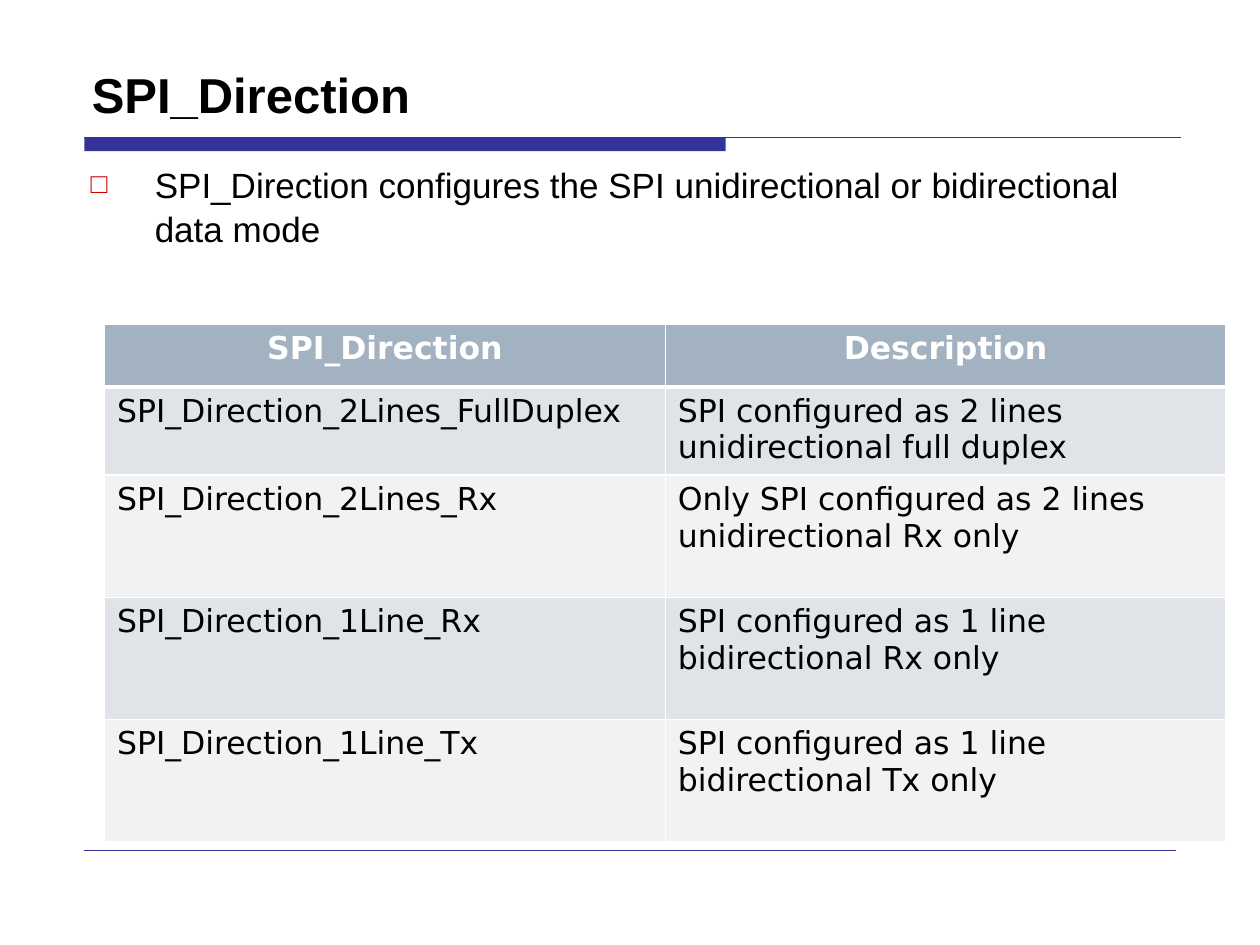
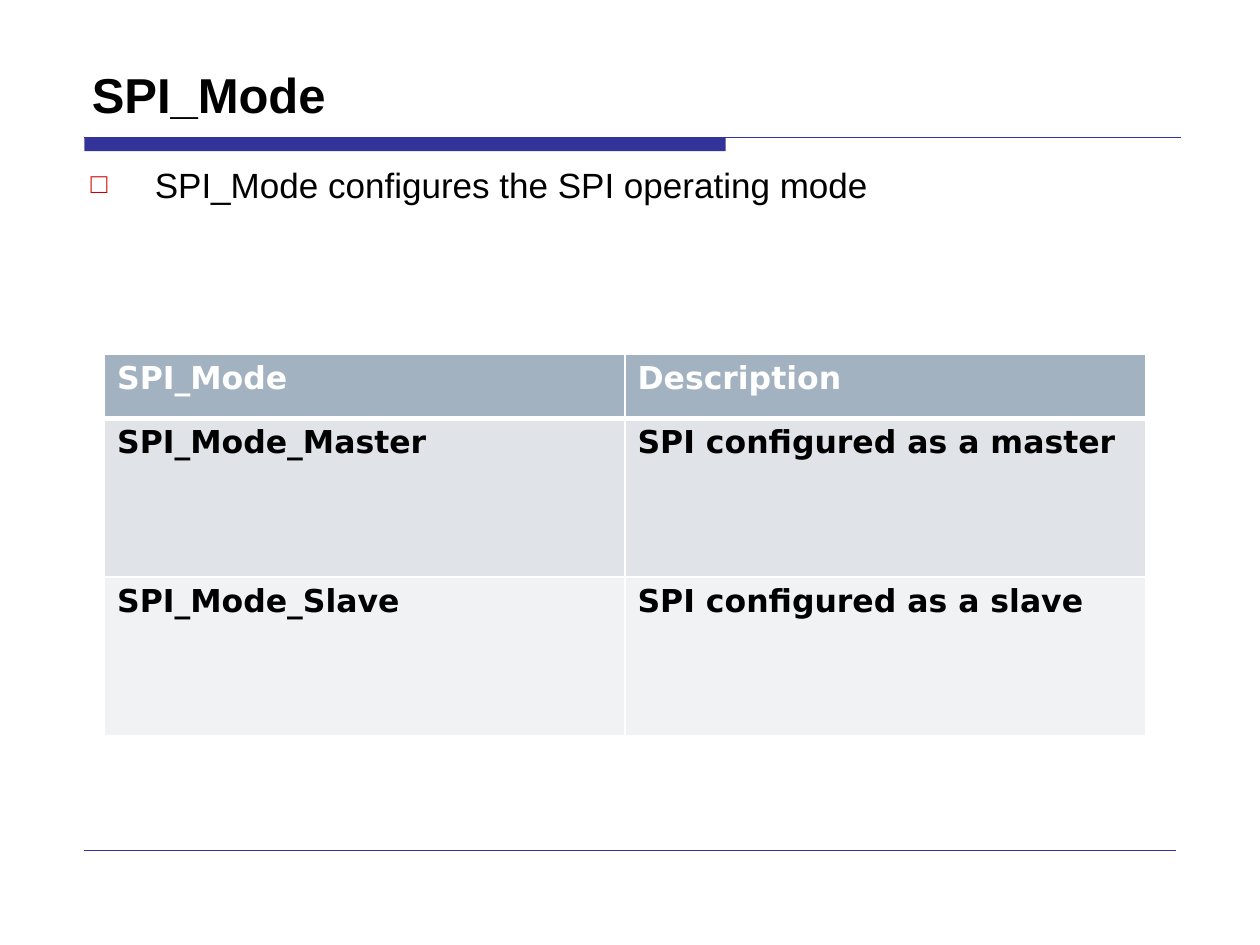
import pptx
import pptx.dml.color
import pptx.enum.shapes
import pptx.enum.text
import pptx.oxml
import pptx.oxml.ns
import pptx.util
from pptx.util import Inches

COLORS = {
    "accent": "333399",
    "bullet": "CC0000",
    "text": "000000",
    "white": "FFFFFF",
    "header": "A3B2C1",
    "odd": "E0E4E9",
    "even": "F0F2F4",
}
HEAD_FONT = "Arial"
TABLE_FONT = "DejaVu Sans"
ALIGN = pptx.enum.text.PP_ALIGN
ANCHOR = pptx.enum.text.MSO_ANCHOR
NS = pptx.oxml.ns.nsdecls("a")


def rgb(name):
    return pptx.dml.color.RGBColor.from_string(COLORS[name])


def write(tf, text, font=HEAD_FONT, size=20, color="text", bold=False,
          align=ALIGN.LEFT):
    """Put formatted text in the first paragraph and return it."""
    p = tf.paragraphs[0]
    p.alignment = align
    r = p.add_run()
    r.text = text
    r.font.name = font
    r.font.size = pptx.util.Pt(size)
    r.font.bold = bold
    r.font.color.rgb = rgb(color)
    return p


def add_textbox(slide, left, top, width, height, anchor):
    sp = slide.shapes.add_textbox(Inches(left), Inches(top),
                                  Inches(width), Inches(height))
    tf = sp.text_frame
    tf.word_wrap = True
    tf.vertical_anchor = anchor
    return tf


def add_rule(slide, left, right, y, weight):
    line = slide.shapes.add_connector(
        pptx.enum.shapes.MSO_CONNECTOR.STRAIGHT,
        Inches(left), Inches(y), Inches(right), Inches(y))
    line.line.color.rgb = rgb("accent")
    line.line.width = pptx.util.Pt(weight)
    line._element.spPr.append(pptx.oxml.parse_xml(f"<a:effectLst {NS}/>"))


def add_frame(slide):
    """Title band and footer rule shared by all slides."""
    band = slide.shapes.add_shape(
        pptx.enum.shapes.MSO_SHAPE.RECTANGLE,
        Inches(0.67), Inches(1.09), Inches(5.09), Inches(0.11))
    band.shadow.inherit = False
    band.fill.solid()
    band.fill.fore_color.rgb = rgb("accent")
    band.line.fill.background()
    add_rule(slide, 0.67, 9.37, 1.09, 0.75)
    add_rule(slide, 0.67, 9.33, 6.75, 0.25)


def add_title(slide, text):
    tf = add_textbox(slide, 0.63, 0.28, 8.75, 0.75, ANCHOR.BOTTOM)
    write(tf, text, size=28, bold=True)


def add_bullet(slide, text):
    tf = add_textbox(slide, 0.62, 1.23, 8.75, 1, ANCHOR.TOP)
    p = write(tf, text)
    p.line_spacing = 1.05
    pPr = p._p.get_or_add_pPr()
    indent = Inches(0.51)
    pPr.set("marL", str(indent))
    pPr.set("indent", str(-indent))
    for tag in (f'<a:buClr {NS}><a:srgbClr val="{COLORS["bullet"]}"/></a:buClr>',
                f'<a:buSzPct {NS} val="80000"/>',
                f'<a:buFont {NS} typeface="{HEAD_FONT}"/>',
                f'<a:buChar {NS} char="□"/>'):
        pPr.append(pptx.oxml.parse_xml(tag))


def set_borders(cell, top, bottom):
    """White cell borders; they precede the fill in the cell properties."""
    tcPr = cell._tc.get_or_add_tcPr()
    for i, (side, weight) in enumerate(
            (("L", 1), ("R", 1), ("T", top), ("B", bottom))):
        tcPr.insert(i, pptx.oxml.parse_xml(
            f'<a:ln{side} {NS} w="{pptx.util.Pt(weight)}"><a:solidFill>'
            f'<a:srgbClr val="{COLORS["white"]}"/></a:solidFill></a:ln{side}>'))


def add_table(slide, rows, top, col_width, row_heights,
              header_align=ALIGN.LEFT, body_bold=False):
    columns = len(rows[0])
    table = slide.shapes.add_table(
        len(rows), columns, Inches(0.83), Inches(top),
        Inches(col_width * columns), Inches(sum(row_heights))).table
    for column in table.columns:
        column.width = Inches(col_width)
    for i, (texts, height) in enumerate(zip(rows, row_heights)):
        table.rows[i].height = Inches(height)
        header = i == 0
        fill = "header" if header else "odd" if i % 2 else "even"
        for j, text in enumerate(texts):
            cell = table.cell(i, j)
            cell.fill.solid()
            cell.fill.fore_color.rgb = rgb(fill)
            set_borders(cell, top=3 if i == 1 else 1, bottom=3 if header else 1)
            write(cell.text_frame, text, font=TABLE_FONT, size=18,
                  color="white" if header else "text",
                  bold=header or body_bold,
                  align=header_align if header else ALIGN.LEFT)


def add_slide(prs, title, summary):
    slide = prs.slides.add_slide(prs.slide_layouts[6])
    add_frame(slide)
    add_title(slide, title)
    add_bullet(slide, summary)
    return slide


def main():
    prs = pptx.Presentation()
    prs.slide_width = Inches(10)
    prs.slide_height = Inches(7.5)

    # Data direction
    slide = add_slide(
        prs, "SPI_Direction",
        "SPI_Direction configures the SPI unidirectional or bidirectional data mode")
    directions = [
        ("SPI_Direction", "Description"),
        ("SPI_Direction_2Lines_FullDuplex",
         "SPI configured as 2 lines unidirectional full duplex"),
        ("SPI_Direction_2Lines_Rx",
         "Only SPI configured as 2 lines unidirectional Rx only"),
        ("SPI_Direction_1Line_Rx", "SPI configured as 1 line bidirectional Rx only"),
        ("SPI_Direction_1Line_Tx", "SPI configured as 1 line bidirectional Tx only"),
    ]
    add_table(slide, directions, 2.57, 4.45, [0.5, 0.68] + [0.97] * 3,
              header_align=ALIGN.CENTER)

    # Operating mode
    slide = add_slide(prs, "SPI_Mode", "SPI_Mode configures the SPI operating mode")
    modes = [
        ("SPI_Mode", "Description"),
        ("SPI_Mode_Master", "SPI configured as a master"),
        ("SPI_Mode_Slave", "SPI configured as a slave"),
    ]
    add_table(slide, modes, 2.81, 4.13, [0.51] + [1.26] * 2, body_bold=True)

    prs.save("out.pptx")


if __name__ == "__main__":
    main()
